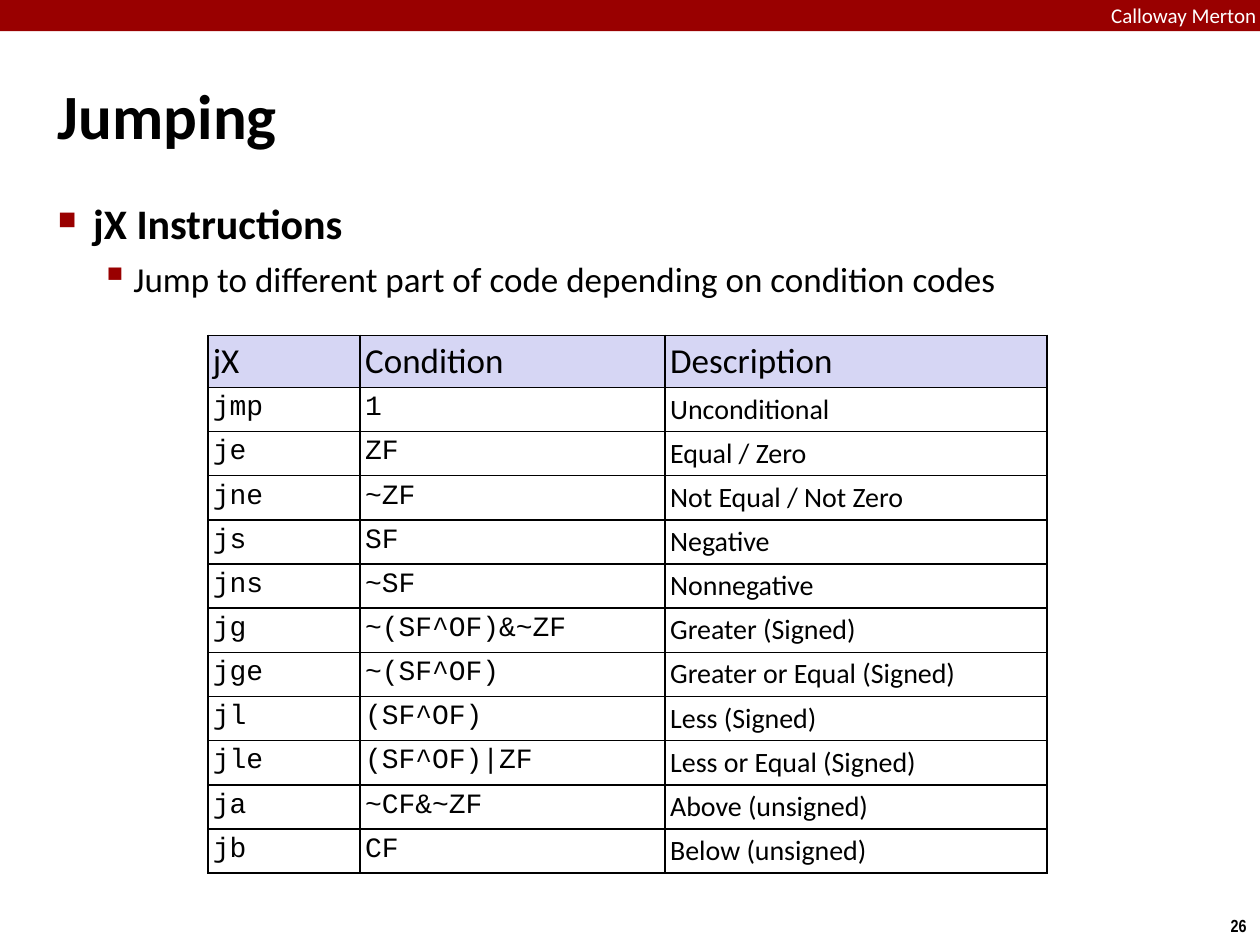
from dataclasses import dataclass

from lxml import etree
from pptx import Presentation
from pptx import util as u
from pptx.dml.color import RGBColor
from pptx.enum import shapes, text
from pptx.oxml import ns


@dataclass(frozen=True)
class Theme:
    red: str = "990000"
    black: str = "000000"
    white: str = "FFFFFF"
    lavender: str = "D6D6F4"
    body_font: str = "Calibri"
    code_font: str = "Courier New"
    number_font: str = "Arial Narrow"
    title_size: int = 36
    heading_size: int = 24
    detail_size: int = 20
    cell_size: int = 16
    banner_size: int = 12
    number_size: int = 10


THEME = Theme()
INSET = 0.1

JUMPS = [
    ("jX", "Condition", "Description"),
    ("jmp", "1", "Unconditional"),
    ("je", "ZF", "Equal / Zero"),
    ("jne", "~ZF", "Not Equal / Not Zero"),
    ("js", "SF", "Negative"),
    ("jns", "~SF", "Nonnegative"),
    ("jg", "~(SF^OF)&~ZF", "Greater (Signed)"),
    ("jge", "~(SF^OF)", "Greater or Equal (Signed)"),
    ("jl", "(SF^OF)", "Less (Signed)"),
    ("jle", "(SF^OF)|ZF", "Less or Equal (Signed)"),
    ("ja", "~CF&~ZF", "Above (unsigned)"),
    ("jb", "CF", "Below (unsigned)"),
]


def write(paragraph, words, *, size, font=THEME.body_font, color=THEME.black,
          bold=False, align=text.PP_ALIGN.LEFT, before=0):
    paragraph.alignment = align
    paragraph.space_before = u.Pt(before)
    run = paragraph.add_run()
    run.text = words
    run.font.name = font
    run.font.size = u.Pt(size)
    run.font.bold = bold
    run.font.color.rgb = RGBColor.from_string(color)


def set_margins(target, inset):
    target.margin_left = target.margin_right = u.Cm(inset)
    target.margin_top = target.margin_bottom = u.Cm(inset)


def add_text_frame(slide, left, top, width, height, inset=INSET, wrap=True,
                   anchor=text.MSO_ANCHOR.TOP):
    box = slide.shapes.add_textbox(u.Cm(left), u.Cm(top), u.Cm(width), u.Cm(height))
    frame = box.text_frame
    frame.word_wrap = wrap
    frame.vertical_anchor = anchor
    set_margins(frame, inset)
    return frame


def add_bullet(paragraph, character, percent, left, hanging):
    properties = paragraph._p.get_or_add_pPr()
    properties.set("marL", str(u.Cm(left)))
    properties.set("indent", str(-u.Cm(hanging)))
    color = etree.SubElement(properties, ns.qn("a:buClr"))
    etree.SubElement(color, ns.qn("a:srgbClr"), val=THEME.red)
    etree.SubElement(properties, ns.qn("a:buSzPct"), val=str(percent * 1000))
    etree.SubElement(properties, ns.qn("a:buChar"), char=character)


def add_borders(cell):
    properties = cell._tc.get_or_add_tcPr()
    for side in ("lnL", "lnR", "lnT", "lnB"):
        line = etree.SubElement(properties, ns.qn(f"a:{side}"), w=str(u.Pt(1)))
        fill = etree.SubElement(line, ns.qn("a:solidFill"))
        etree.SubElement(fill, ns.qn("a:srgbClr"), val=THEME.black)


def add_banner(slide):
    bar = slide.shapes.add_shape(shapes.MSO_SHAPE.RECTANGLE, 0, 0, u.Cm(25.43), u.Cm(0.63))
    bar.shadow.inherit = False
    bar.fill.solid()
    bar.fill.fore_color.rgb = RGBColor.from_string(THEME.red)
    bar.line.fill.background()
    label = add_text_frame(slide, 22.4, 0.05, 3.66, 0.48, inset=0)
    write(label.paragraphs[0], "Calloway Merton", size=THEME.banner_size, color=THEME.white)


def add_jump_table(slide):
    widths = (3.07, 6.15, 7.7)
    heights = [1.05] + [0.89] * (len(JUMPS) - 1)
    frame = slide.shapes.add_table(len(JUMPS), len(widths), u.Cm(4.19), u.Cm(6.76),
                                   u.Cm(sum(widths)), u.Cm(sum(heights)))
    table = frame.table
    table.first_row = table.horz_banding = False
    for column, width in zip(table.columns, widths):
        column.width = u.Cm(width)
    for row_index, (row, values) in enumerate(zip(table.rows, JUMPS)):
        row.height = u.Cm(heights[row_index])
        is_header = row_index == 0
        for column_index, (cell, value) in enumerate(zip(row.cells, values)):
            is_code = not is_header and column_index < 2
            set_margins(cell, INSET)
            add_borders(cell)
            if is_header:
                cell.fill.solid()
                cell.fill.fore_color.rgb = RGBColor.from_string(THEME.lavender)
            else:
                cell.fill.background()
            write(cell.text_frame.paragraphs[0], value,
                  size=THEME.detail_size if is_header else THEME.cell_size,
                  font=THEME.code_font if is_code else THEME.body_font)


def main():
    presentation = Presentation()
    presentation.slide_width, presentation.slide_height = u.Cm(25.4), u.Cm(19.05)
    slide = presentation.slides.add_slide(presentation.slide_layouts[6])

    # Page number and banner
    number = add_text_frame(slide, 24.54, 18.34, 0.86, 0.69, wrap=False)
    write(number.paragraphs[0], "26", size=THEME.number_size, font=THEME.number_font,
          bold=True, align=text.PP_ALIGN.CENTER)
    add_banner(slide)

    # Title
    title = add_text_frame(slide, 1.07, 0.71, 23.29, 3.18, anchor=text.MSO_ANCHOR.MIDDLE)
    write(title.paragraphs[0], "Jumping", size=THEME.title_size, bold=True)

    # Bulleted introduction
    body = add_text_frame(slide, 1.07, 3.89, 23.29, 2.39)
    heading = body.paragraphs[0]
    write(heading, "jX Instructions", size=THEME.heading_size, bold=True, before=6)
    add_bullet(heading, "■", 60, left=0.71, hanging=0.71)
    detail = body.add_paragraph()
    detail.level = 1
    write(detail, "Jump to different part of code depending on condition codes",
          size=THEME.detail_size, before=5)
    add_bullet(detail, "▪", 110, left=1.52, hanging=0.66)

    # Jump instructions
    add_jump_table(slide)

    presentation.save("out.pptx")


if __name__ == "__main__":
    main()
